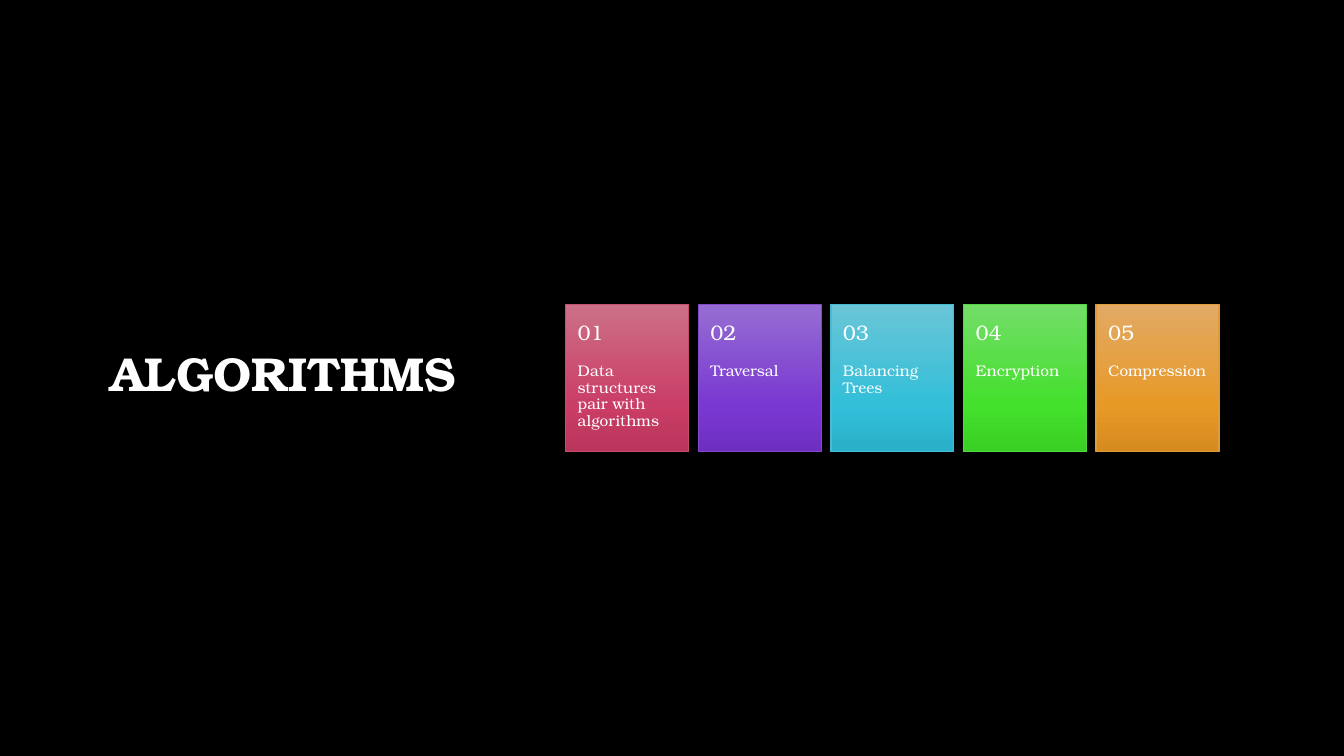
from copy import deepcopy

from pptx import Presentation
from pptx.dml.color import RGBColor
from pptx.enum.text import MSO_ANCHOR, MSO_AUTO_SIZE, PP_ALIGN
from pptx.enum.shapes import MSO_SHAPE
from pptx.oxml.ns import qn
from pptx.util import Inches, Pt

FONT = "TeX Gyre Bonum"
BLACK = RGBColor(0x00, 0x00, 0x00)
WHITE = RGBColor(0xFF, 0xFF, 0xFF)
ROSE = [RGBColor(0xCC, 0x70, 0x87), RGBColor(0xCA, 0x3D, 0x66), RGBColor(0xBA, 0x35, 0x5B), RGBColor(0xC5, 0x4F, 0x71)]
VIOLET = [RGBColor(0x95, 0x6D, 0xD2), RGBColor(0x7A, 0x38, 0xD2), RGBColor(0x6E, 0x2F, 0xC1), RGBColor(0x82, 0x4A, 0xCB)]
CYAN = [RGBColor(0x6A, 0xC5, 0xD7), RGBColor(0x32, 0xBF, 0xD9), RGBColor(0x2A, 0xB0, 0xC8), RGBColor(0x45, 0xBC, 0xD2)]
GREEN = [RGBColor(0x73, 0xDD, 0x68), RGBColor(0x43, 0xE0, 0x2C), RGBColor(0x3A, 0xCF, 0x24), RGBColor(0x54, 0xD8, 0x41)]
ORANGE = [RGBColor(0xE2, 0xAA, 0x66), RGBColor(0xE7, 0x99, 0x26), RGBColor(0xD6, 0x8B, 0x1F), RGBColor(0xDE, 0x9C, 0x3C)]

STOPS = (0, 0.69, 1)
TITLE_BOX = (0.82, 0.67, 3.98, 6.13)
CARDS_BOX = (5.61, 3.02, 6.48, 1.46)
CARD_WIDTH = 1.22
NUMBER_SHARE = 0.4
CARDS = [
    ("Data structures pair with algorithms", ROSE),
    ("Traversal", VIOLET),
    ("Balancing Trees", CYAN),
    ("Encryption", GREEN),
    ("Compression", ORANGE),
]
TITLE_FRAME = {"vertical_anchor": MSO_ANCHOR.MIDDLE}
NUMBER_FRAME = {
    "vertical_anchor": MSO_ANCHOR.MIDDLE,
    "margin_left": Inches(0.12), "margin_right": Inches(0.12),
    "margin_top": Inches(0.18), "margin_bottom": Inches(0.18),
}
LABEL_FRAME = {
    "vertical_anchor": MSO_ANCHOR.TOP,
    "margin_left": Inches(0.12), "margin_right": Inches(0.12),
    "margin_top": 0, "margin_bottom": Inches(0.36),
}


def set_attributes(target, values):
    for name, value in values.items():
        setattr(target, name, value)


def write_text(shape, text, size, frame_format, bold=False, align=PP_ALIGN.LEFT):
    frame = shape.text_frame
    set_attributes(frame, {"word_wrap": True, "auto_size": MSO_AUTO_SIZE.NONE, **frame_format})
    para = frame.paragraphs[0]
    set_attributes(para, {"alignment": align, "line_spacing": 0.9})
    span = para.add_run()
    span.text = text
    set_attributes(span.font, {"name": FONT, "size": Pt(size), "bold": bold})
    span.font.color.rgb = WHITE


def add_title(page, box):
    title = page.shapes.title
    lengths = [Inches(length) for length in box]
    set_attributes(title, dict(zip(("left", "top", "width", "height"), lengths)))
    write_text(title, "ALGORITHMS", 34, TITLE_FRAME, True, PP_ALIGN.CENTER)


def paint_gradient(tile, colors):
    tile.fill.gradient()
    tile.fill.gradient_angle = 270
    stop_list = tile.element.spPr.find(qn("a:gradFill")).find(qn("a:gsLst"))
    stop_list.append(deepcopy(stop_list[-1]))
    for stop, position, color in zip(tile.fill.gradient_stops, STOPS, colors):
        stop.position = position
        stop.color.rgb = color


def add_card(group, box, number, label, colors):
    left, top, width, height = box
    tile = group.shapes.add_shape(MSO_SHAPE.RECTANGLE, *map(Inches, box))
    tile.shadow.inherit = False
    paint_gradient(tile, colors[:3])
    tile.line.color.rgb = colors[3]
    tile.line.width = Pt(1)

    number_height = height * NUMBER_SHARE
    label_box = (left, top + number_height, width, height - number_height)
    number_box = (left, top, width, number_height)
    for part_box, text, size, frame_format in (
        (label_box, label, 11, LABEL_FRAME),
        (number_box, number, 15, NUMBER_FRAME),
    ):
        part = group.shapes.add_textbox(*map(Inches, part_box))
        write_text(part, text, size, frame_format)


def add_cards(page, box):
    left, top, width, height = box
    pitch = (width - CARD_WIDTH) / (len(CARDS) - 1)
    group = page.shapes.add_group_shape()
    for column, (label, colors) in enumerate(CARDS):
        card_box = (left + column * pitch, top, CARD_WIDTH, height)
        add_card(group, card_box, f"{column + 1:02}", label, colors)


def main():
    deck = Presentation()
    set_attributes(deck, {"slide_width": Inches(13.33), "slide_height": Inches(7.5)})
    page = deck.slides.add_slide(deck.slide_layouts[5])
    page.background.fill.solid()
    page.background.fill.fore_color.rgb = BLACK
    add_title(page, TITLE_BOX)
    add_cards(page, CARDS_BOX)
    deck.save("out.pptx")


if __name__ == "__main__":
    main()
